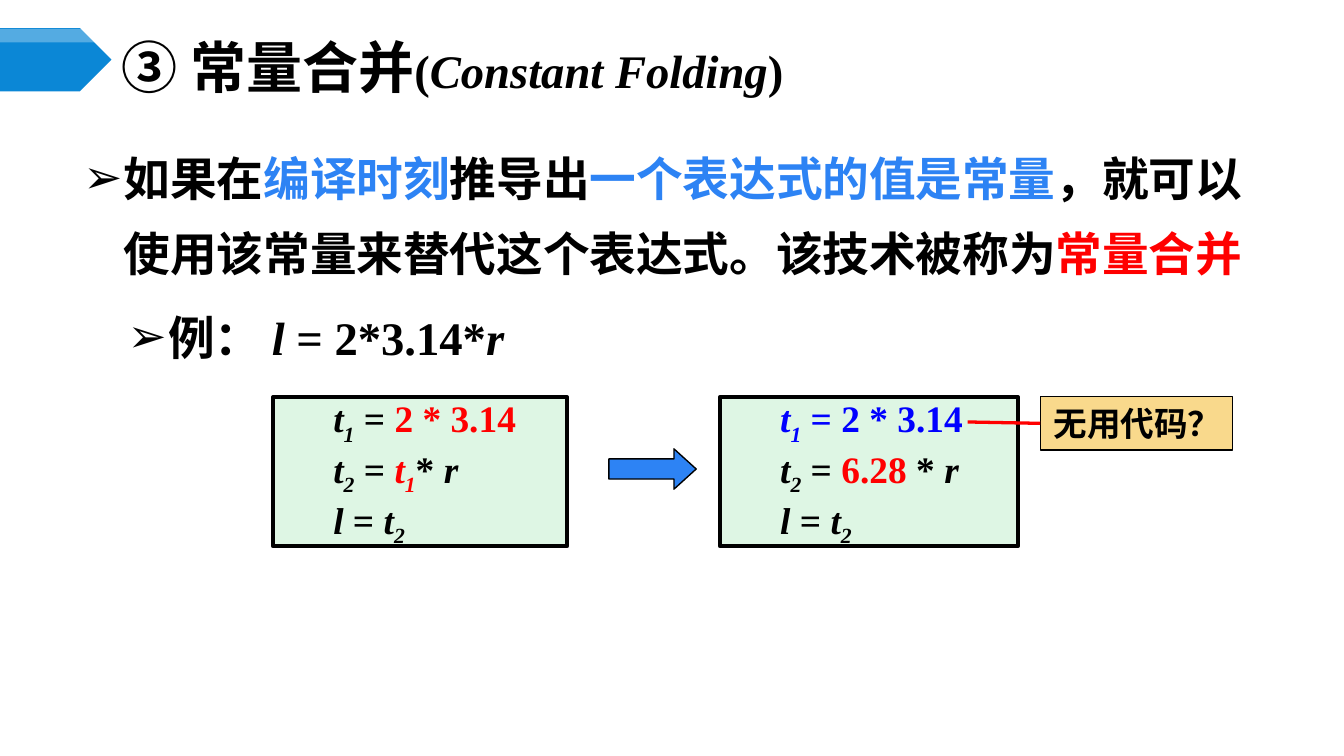
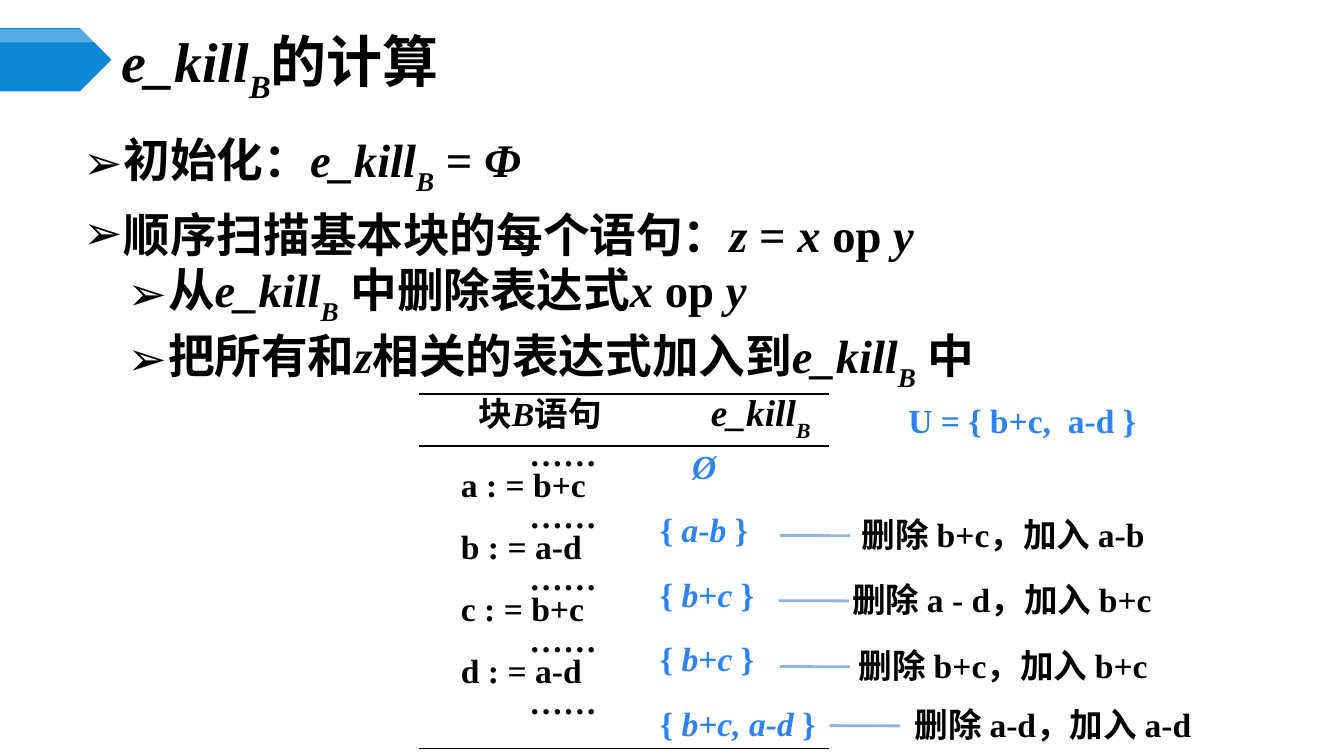
from dataclasses import dataclass
from typing import Any, NamedTuple, Optional

from lxml import etree
from pptx import Presentation
from pptx import util as u
from pptx.dml.color import RGBColor
from pptx.enum import shapes, text
from pptx.oxml import ns

# Shared look
LATIN, CJK = "Times New Roman", "Noto Sans CJK SC"
BLACK, WHITE, RED = "000000", "FFFFFF", "FF0000"
BLUE, DEEP_BLUE, PALE_BLUE = "2D83F4", "0000FF", "8FB5E5"
BAND, MINT, SAND = "0B87D6", "DEF6E4", "F9D98C"
SHAPE, ANCHOR, ALIGN = shapes.MSO_SHAPE, text.MSO_ANCHOR, text.PP_ALIGN

# A 16:9 slide on a grid of 100 columns by 56.25 rows
WIDTH = u.Inches(10)
HEIGHT = u.Emu(WIDTH * 9 // 16)
COL, ROW = WIDTH / 100, HEIGHT / 56.25


class Box(NamedTuple):
    col: float
    row: float
    cols: float
    rows: float

    def emu(self) -> tuple[int, ...]:
        return tuple(round(n * unit) for n, unit in zip(self, (COL, ROW) * 2))


class Run(NamedTuple):
    text: str
    fmt: dict[str, Any]


@dataclass
class Para:
    runs: list[Run]
    level: int = 0
    margin: float = 0
    hang: float = 0
    bullet: str = ""
    line: Optional[float] = None
    before: float = 0
    align: Any = ALIGN.LEFT
    tabs: tuple[float, ...] = ()


class Step(NamedTuple):
    statement: str
    kill_set: list[Run]
    note: str
    note_box: Box


def rgb(value: str) -> RGBColor:
    return RGBColor.from_string(value)


# Text
def run(content: str, **fmt: Any) -> Run:
    return Run(content, fmt)


def it(content: str, **fmt: Any) -> Run:
    return run(content, italic=True, **fmt)


def var(name: str, index: str, drop: int = -25, **fmt: Any) -> list[Run]:
    """Italic name with a subscript."""
    return [it(name, **fmt), it(index, base=drop, **fmt)]


def e_kill(**fmt: Any) -> list[Run]:
    return var("e_kill", "B", -30, **fmt)


def add_run(p: Any, content: str, *, size: float = 18, font: str = LATIN,
            color: str = BLACK, italic: bool = False, base: int = 0) -> None:
    r = p.add_run()
    r.text = content
    r.font.size, r.font.bold, r.font.italic = u.Pt(size), True, italic
    r.font.color.rgb = rgb(color)
    r.font.name = font
    props = r._r.get_or_add_rPr()
    if base:
        props.set("baseline", str(base * 1000))
    etree.SubElement(props, ns.qn("a:ea"), typeface=CJK)


def write(sp: Any, paras: list[Para], *, anchor: Any = ANCHOR.TOP, wrap: bool = True,
          inset: tuple[float, float] = (0.07, 0.04), **fmt: Any) -> None:
    tf = sp.text_frame
    tf.word_wrap, tf.auto_size = wrap, text.MSO_AUTO_SIZE.NONE
    tf.vertical_anchor = anchor
    tf.margin_left = tf.margin_right = u.Inches(inset[0])
    tf.margin_top = tf.margin_bottom = u.Inches(inset[1])
    for i, para in enumerate(paras):
        p = tf.add_paragraph() if i else tf.paragraphs[0]
        props = p._p.get_or_add_pPr()
        props.set("marL", str(u.Inches(para.margin)))
        if para.hang:
            props.set("indent", str(u.Inches(-para.hang)))
        if para.bullet:
            etree.SubElement(props, ns.qn("a:buChar"), char=para.bullet)
        if para.tabs:
            stops = etree.SubElement(props, ns.qn("a:tabLst"))
            for stop in para.tabs:
                etree.SubElement(stops, ns.qn("a:tab"), pos=str(u.Inches(stop)), algn="l")
        p.level, p.alignment = para.level, para.align
        p.space_before = u.Pt(para.before if i else 0)
        if para.line:
            p.line_spacing = u.Pt(para.line)
        for part in para.runs:
            add_run(p, part.text, **{**fmt, **part.fmt})


def bullet(runs: list[Run], level: int = 0, **fmt: Any) -> Para:
    return Para(runs, level, margin=(0.3, 0.63)[level], hang=0.3, bullet="➢", **fmt)


# Shapes
def add_shape(s: Any, kind: Any, box: Box, *, fill: str = "", line: str = "",
              weight: float = 0.75, adj: tuple[float, ...] = (), alpha: int = 100) -> Any:
    sp = s.shapes.add_shape(kind, *box.emu())
    sp.shadow.inherit = False
    for i, value in enumerate(adj):
        sp.adjustments[i] = value
    if fill:
        sp.fill.solid()
        sp.fill.fore_color.rgb = rgb(fill)
    else:
        sp.fill.background()
    if alpha < 100:
        color = sp._element.spPr.find(".//" + ns.qn("a:srgbClr"))
        etree.SubElement(color, ns.qn("a:alpha"), val=str(alpha * 1000))
    if line:
        sp.line.color.rgb, sp.line.width = rgb(line), u.Pt(weight)
    else:
        sp.line.fill.background()
    return sp


def add_line(s: Any, start: tuple[float, float], end: tuple[float, float],
             color: str, weight: float) -> Any:
    x1, y1, x2, y2 = Box(*start, *end).emu()
    line = s.shapes.add_connector(shapes.MSO_CONNECTOR.STRAIGHT, x1, y1, x2, y2)
    line.line.color.rgb, line.line.width = rgb(color), u.Pt(weight)
    etree.SubElement(line._element.spPr, ns.qn("a:effectLst"))
    return line


def add_text(s: Any, box: Box, paras: list[Para], **fmt: Any) -> None:
    write(s.shapes.add_textbox(*box.emu()), paras, **fmt)


def add_slide(prs: Any, title: list[Run], body: list[Para], body_cols: float) -> Any:
    """Slide with the title band, a title and a bulleted body."""
    s = prs.slides.add_slide(prs.slide_layouts[1])
    add_shape(s, SHAPE.PENTAGON, Box(0, 2.1, 8.3, 4.7), fill=BAND)
    add_shape(s, SHAPE.PENTAGON, Box(0, 2.15, 8.3, 1), fill=WHITE, alpha=30)
    heading, content = s.placeholders
    for sp, box in ((heading, Box(8.35, 2.95, 86.7, 3.9)),
                    (content, Box(5.5, 9.35, body_cols, 35.3))):
        sp.left, sp.top, sp.width, sp.height = box.emu()
    write(heading, [Para(title)], anchor=ANCHOR.MIDDLE, size=30)
    write(content, body, size=25)
    return s


# Slide 1: constant folding
def constant_folding(prs: Any) -> None:
    title = [run("③ 常量合并", font=CJK), run("(", size=25),
             it("Constant Folding", size=25), run(")", size=25)]
    spacing = dict(line=40, before=5)
    s = add_slide(prs, title, [
        bullet([run("如果在"), run("编译时刻", color=BLUE), run("推导出"),
                run("一个表达式的值是常量", color=BLUE),
                run("，就可以使用该常量来替代这个表达式。该技术被称为"),
                run("常量合并", color=RED)], **spacing),
        bullet([run("例： "), it("l"), run(" = 2*3.14*"), it("r")], 1, **spacing),
    ], 89)

    # Code before and after folding
    last = [it("l"), run(" = "), *var("t", "2")]
    before = [
        [*var("t", "1"), run(" = "), run("2 * 3.14", color=RED)],
        [*var("t", "2"), run(" = "), *var("t", "1", color=RED), run("* "), it("r")],
        last,
    ]
    after = [
        [*var("t", "1", color=DEEP_BLUE), run(" = 2 * 3.14", color=DEEP_BLUE)],
        [*var("t", "2"), run(" = "), run("6.28", color=RED), run(" * "), it("r")],
        last,
    ]
    for col, cols, code in ((53.55, 22.2, after), (20.3, 21.9, before)):
        sp = add_shape(s, SHAPE.RECTANGLE, Box(col, 29.55, cols, 11.1),
                       fill=MINT, line=BLACK, weight=2)
        write(sp, [Para(runs, 1, margin=0.38) for runs in code],
              anchor=ANCHOR.MIDDLE, inset=(0.07, 0), size=20)
    add_shape(s, SHAPE.RIGHT_ARROW, Box(45.3, 33.4, 6.5, 3), fill=BLUE, line=BLACK,
              adj=(0.5, 0.55))

    # Question about the dead statement
    question = add_shape(s, SHAPE.RECTANGLE, Box(77.4, 29.5, 14.3, 4), fill=SAND, line=BLACK)
    write(question, [Para([run("无用代码？")])], inset=(0.1, 0.05), font=CJK)
    pointer = add_line(s, (77.4, 31.5), (72, 31.4), RED, 1.75)
    pointer.begin_connect(question, 1)


# Slide 2: computing e_kill
def kill_computation(prs: Any) -> None:
    expression = [it("x"), run(" op "), it("y")]
    s = add_slide(prs, [*e_kill(), run("的计算", font=CJK)], [
        bullet([run("初始化：", font=CJK), *e_kill(), run(" ="), it(" Φ")], line=35),
        bullet([run("顺序扫描基本块的每个语句："), it("z"), run(" = "), *expression], line=35),
        bullet([run("从"), *e_kill(), run(" 中删除表达式"), *expression], 1, line=35),
        bullet([run("把所有和"), it("z"), run("相关的表达式加入到"), *e_kill(),
                run(" 中")], 1, line=35),
    ], 84.4)

    b_plus_c = [run("{ "), it("b"), run("+"), it("c"), run(" }")]
    steps = [
        Step("a : = b+c", [run("{ "), it("a"), run("-"), it("b"), run(" }")],
             "删除 b+c，加入 a-b", Box(61.5, 37.5, 26.3, 4.5)),
        Step("b : = a-d", b_plus_c, "删除 a - d，加入 b+c", Box(61.4, 42.35, 26.3, 4.5)),
        Step("c : = b+c", b_plus_c, "删除 b+c，加入 b+c", Box(61.5, 47.25, 26.3, 4.5)),
        Step("d : = a-d", [run("{ "), it("b+c, a-d "), run("}")],
             "删除 a-d，加入 a-d", Box(65.2, 51.65, 26.3, 4.5)),
    ]

    # Statements of the block
    spacing = dict(line=13, before=3.6)
    dots = Para([run("……")], margin=0.51, **spacing)
    header = Para([run("块", font=CJK), it("B"), run("语句\t", font=CJK),
                   *e_kill(size=20)], margin=0.13, tabs=(1.73,), **spacing)
    rows = [header, dots]
    for step in steps:
        rows += [Para([run(step.statement)], **spacing), dots]
    add_text(s, Box(33.6, 30.7, 32, 27.3), rows)
    for row in (29.3, 33.2, 55.7):
        add_line(s, (31.2, row), (61.7, row), BLACK, 1)

    # Sets after each statement, with notes
    add_text(s, Box(50.8, 32.8, 3.3, 3.8), [Para([it("Ø")])], wrap=False, color=BLUE)
    for i, step in enumerate(steps):
        add_text(s, Box(48.4, 37.5 + 4.8 * i, 13.2, 3.8), [Para(step.kill_set)],
                 wrap=False, color=BLUE)
        note = add_shape(s, SHAPE.LINE_CALLOUT_1_NO_BORDER, step.note_box, line=PALE_BLUE,
                         weight=1.5, adj=(0.525, 0.067, 0.521, -0.132))
        write(note, [Para([run(step.note)], align=ALIGN.CENTER)],
              anchor=ANCHOR.MIDDLE, inset=(0.1, 0.05))
    add_text(s, Box(66.6, 29.3, 20.3, 4), [Para([run("U = { b+c,  a-d }")])],
             inset=(0.1, 0.05), color=BLUE)


def main() -> None:
    prs = Presentation()
    prs.slide_width, prs.slide_height = WIDTH, HEIGHT
    constant_folding(prs)
    kill_computation(prs)
    prs.save("out.pptx")


if __name__ == "__main__":
    main()
